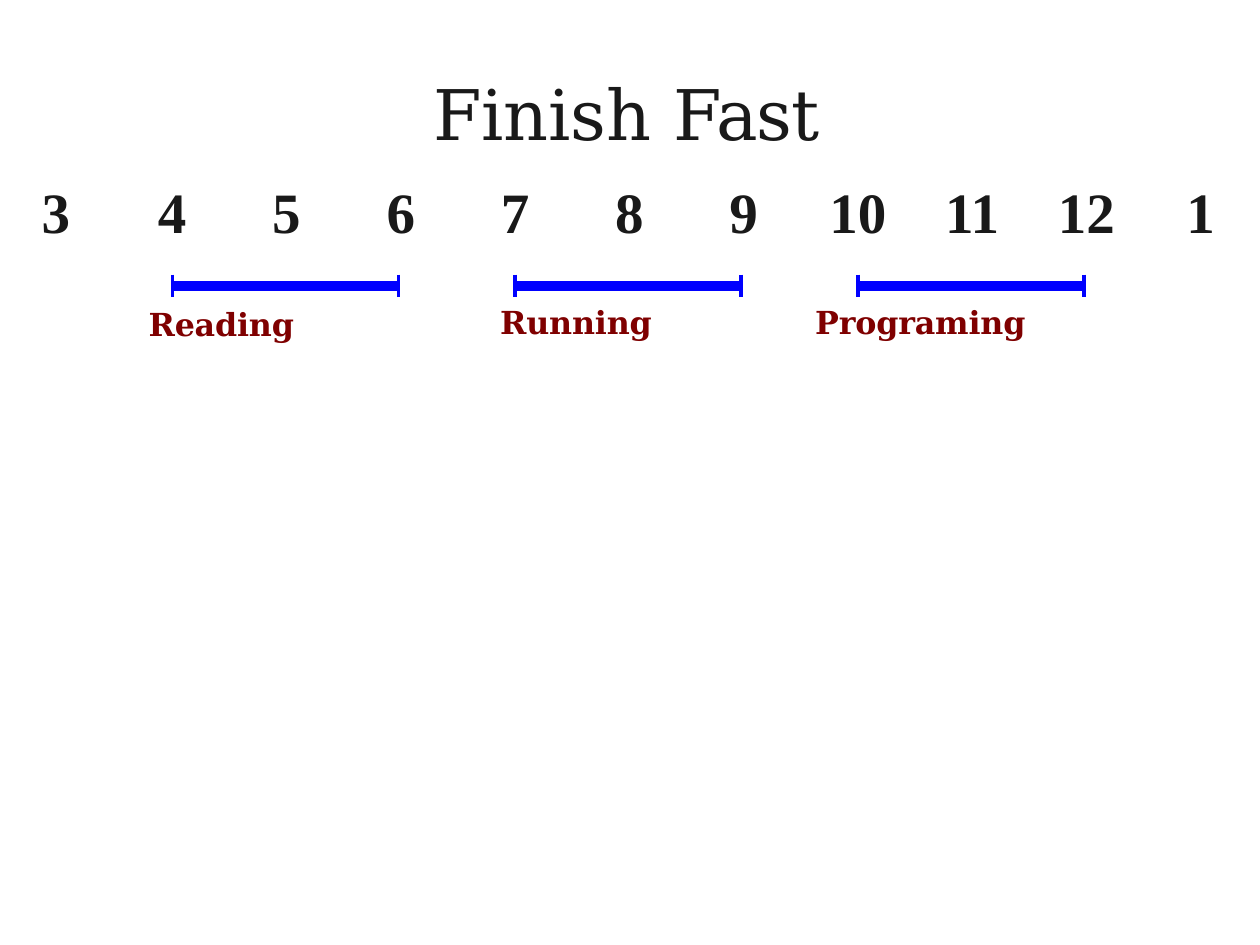
from lxml.etree import SubElement
from pptx import Presentation
from pptx.dml.color import RGBColor
from pptx.enum.shapes import MSO_CONNECTOR
from pptx.enum.text import MSO_ANCHOR, MSO_AUTO_SIZE, PP_ALIGN
from pptx.oxml.ns import qn
from pptx.util import Inches, Pt

TITLE = [("Finish ", -10), ("Fast", -70)]
HOURS = ["3", "4", "5", "6", "7", "8", "9", "10", "11", "12", "1"]
TASKS = [
    ("Reading", "4", "6", 1.18, 2.41),
    ("Running", "7", "9", 3.97, 2.39),
    ("Programing", "10", "12", 6.47, 2.39),
]
SERIF, TIMES = "DejaVu Serif", "Times New Roman"
INK, MAROON, BLUE = "191919", "7F0000", "0000FF"
HOUR_LEFT, HOUR_CENTER, HOUR_STEP = 0.33, 0.46, 0.907
BAR_Y, TICK = 2.27, 0.09


def rgb(value):
    return RGBColor.from_string(value)


def write(sp, box, runs, size, font, color, bold=False):
    sp.left, sp.top, sp.width, sp.height = map(Inches, box)
    tf = sp.text_frame
    tf.margin_left = tf.margin_right = tf.margin_bottom = 0
    tf.margin_top = Inches(0.01)
    tf.word_wrap = True
    tf.auto_size = MSO_AUTO_SIZE.NONE
    tf.vertical_anchor = MSO_ANCHOR.TOP
    p = tf.paragraphs[0]
    p.alignment = PP_ALIGN.LEFT
    p.space_before = Pt(0.9)
    p.line_spacing = 1.0
    for text, spacing in runs:
        r = p.add_run()
        r.text = text
        r.font.size, r.font.name, r.font.bold = Pt(size), font, bold
        r.font.color.rgb = rgb(color)
        r._r.get_or_add_rPr().set("spc", str(spacing))
    return p


def add_line(slide, x1, y1, x2, y2, width):
    line = slide.shapes.add_connector(
        MSO_CONNECTOR.STRAIGHT, *map(Inches, (x1, y1, x2, y2)))
    line.line.color.rgb = rgb(BLUE)
    line.line.width = Pt(width)
    SubElement(line._element.spPr, qn("a:effectLst"))


def add_box(slide):
    return slide.shapes.add_textbox(0, 0, 0, 0)


def hour_x(hour):
    return HOUR_CENTER + HOURS.index(hour) * HOUR_STEP


def main():
    prs = Presentation()
    prs.slide_width, prs.slide_height = Inches(10), Inches(7.5)
    slide = prs.slides.add_slide(prs.slide_layouts[5])

    write(slide.shapes.title, (3.44, 0.55, 3.12, 0.68), TITLE, 39.9, SERIF, INK)

    p = write(add_box(slide), (HOUR_LEFT, 1.39, 9.32, 0.52),
              [("\t".join(HOURS), 0)], 32.6, TIMES, INK, True)
    tabs = SubElement(p._p.get_or_add_pPr(), qn("a:tabLst"))
    for hour in HOURS[1:]:
        SubElement(tabs, qn("a:tab"), pos=str(Inches(hour_x(hour) - HOUR_LEFT)),
                   algn="ctr")

    for name, start, end, left, top in TASKS:
        x1, x2 = hour_x(start), hour_x(end) - 0.02
        add_line(slide, x1, BAR_Y, x2, BAR_Y, 5.8)
        for x in (x1, x2):
            add_line(slide, x, BAR_Y - TICK, x, BAR_Y + TICK, 1.9)
        write(add_box(slide), (left, top, 2.47, 0.32),
              [(name, -10)], 18.1, SERIF, MAROON, True)
        if name == "Running":
            slide.shapes[-1].width = Inches(2.03)

    prs.save("out.pptx")


if __name__ == "__main__":
    main()
